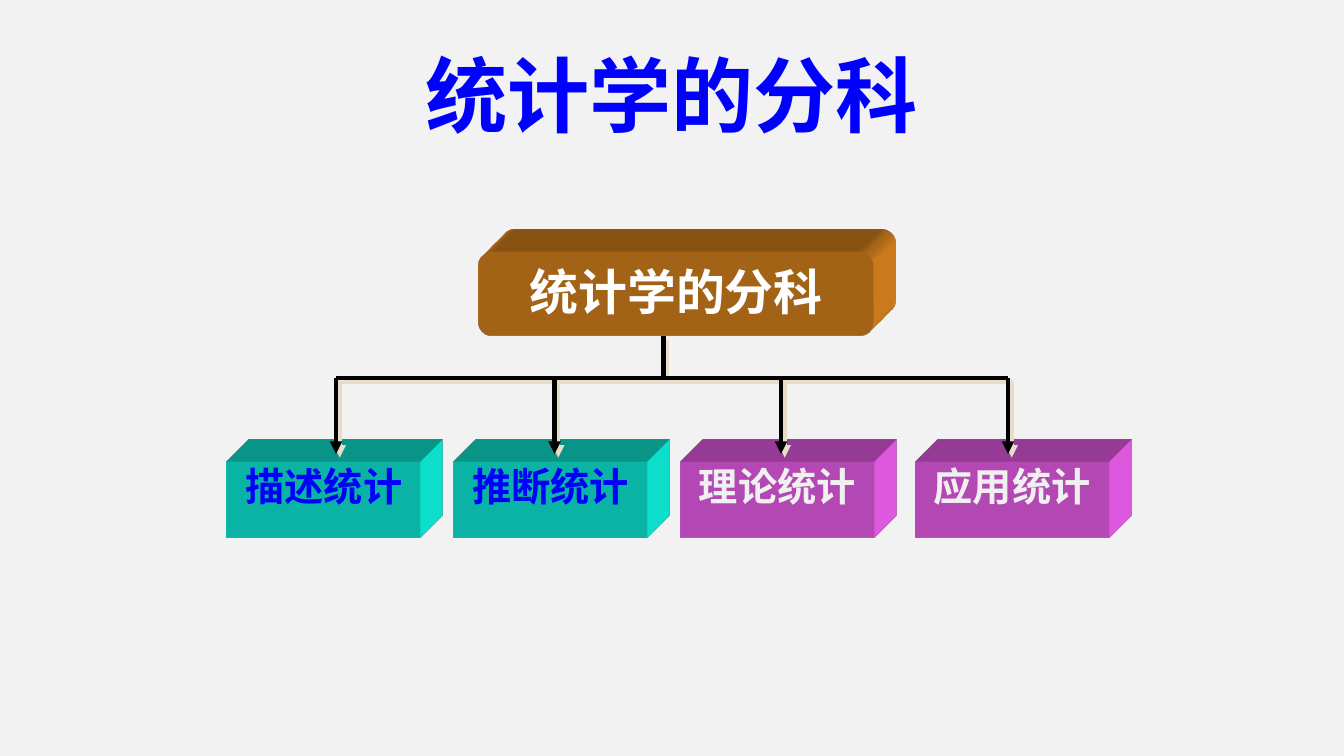
from lxml.etree import SubElement
from pptx import Presentation
from pptx.dml.color import RGBColor
from pptx.enum.shapes import MSO_CONNECTOR, MSO_SHAPE
from pptx.enum.text import MSO_ANCHOR, PP_ALIGN
from pptx.oxml import parse_xml
from pptx.oxml.ns import nsdecls, qn
from pptx.util import Cm, Pt

BACKGROUND = RGBColor(0xF2, 0xF2, 0xF2)
BLUE = RGBColor(0x00, 0x00, 0xFF)
BLACK = RGBColor(0x00, 0x00, 0x00)
WHITE = RGBColor(0xFF, 0xFF, 0xFF)
PALE = RGBColor(0xF0, 0xF0, 0xF0)
ORANGE = RGBColor(0xE8, 0x8D, 0x22)
TURQUOISE = RGBColor(0x0F, 0xFF, 0xE8)
PINK = RGBColor(0xFF, 0x66, 0xFF)
SHADOW = RGBColor(0xE7, 0xDE, 0xC9)
FONT = "Noto Sans CJK SC"

# Heights of the chart's levels, in centimetres
ROOT_BOTTOM, BUS, ARROW_TIP, LEAF_TOP = 6.35, 7.14, 8.58, 8.73
TRUNK = 12.54


class ChartSlide:
    """Holds the slide and draws its elements in one style."""

    def __init__(self, presentation):
        self.slide = presentation.slides.add_slide(presentation.slide_layouts[5])
        self.slide.background.fill.solid()
        self.slide.background.fill.fore_color.rgb = BACKGROUND

    def label(self, text_frame, text, size, color):
        text_frame.text = text
        text_frame.word_wrap = True
        paragraph = text_frame.paragraphs[0]
        paragraph.alignment = PP_ALIGN.CENTER
        for run in paragraph.runs:
            font = run.font
            font.size, font.bold, font.name = Pt(size), True, FONT
            font.color.rgb = color
            SubElement(font._element, qn("a:ea"), typeface=FONT)

    def title(self, text, left, top, width, height):
        shape = self.slide.shapes.title
        shape.left, shape.top = Cm(left), Cm(top)
        shape.width, shape.height = Cm(width), Cm(height)
        self.label(shape.text_frame, text, 44, BLUE)
        shape.text_frame.vertical_anchor = MSO_ANCHOR.MIDDLE

    def block(self, shapes, kind, text, box, fill, color, size, insets=(0, 0)):
        shape = shapes.add_shape(kind, *(Cm(length) for length in box))
        shape.shadow.inherit = False
        shape.fill.solid()
        shape.fill.fore_color.rgb = fill
        shape.line.fill.background()
        text_frame = shape.text_frame
        text_frame.margin_left = text_frame.margin_right = Cm(insets[0])
        text_frame.margin_top = text_frame.margin_bottom = Cm(insets[1])
        text_frame.vertical_anchor = MSO_ANCHOR.TOP
        self.label(text_frame, text, size, color)
        self.extrude(shape, fill)

    def extrude(self, shape, color):
        properties = shape._element.spPr
        properties.append(parse_xml(
            f'<a:scene3d {nsdecls("a")}>'
            '<a:camera prst="legacyObliqueTopRight"/>'
            '<a:lightRig rig="legacyFlat3" dir="b"/></a:scene3d>'))
        properties.append(parse_xml(
            f'<a:sp3d {nsdecls("a")} extrusionH="430200" prstMaterial="legacyMatte">'
            '<a:bevelT w="13500" h="13500" prst="angle"/>'
            '<a:bevelB w="13500" h="13500" prst="angle"/>'
            f'<a:extrusionClr><a:srgbClr val="{color}"/></a:extrusionClr></a:sp3d>'))

    def line(self, shapes, start, end, arrow=False):
        connector = shapes.add_connector(
            MSO_CONNECTOR.STRAIGHT, *(Cm(length) for length in start + end))
        connector.line.color.rgb = BLACK
        connector.line.width = Pt(2.25)
        properties = connector._element.spPr
        if arrow:
            SubElement(properties.find(qn("a:ln")), qn("a:tailEnd"), type="triangle")
        properties.append(parse_xml(
            f'<a:effectLst {nsdecls("a")}>'
            f'<a:outerShdw dist="{Pt(2.8)}" dir="2700000" algn="ctr" rotWithShape="0">'
            f'<a:srgbClr val="{SHADOW}"/></a:outerShdw></a:effectLst>'))

    def branch(self, leaves, fill, color, bus_start, bus_end, trunk=False):
        """Group a pair of leaves with the lines that lead to them."""
        shapes = self.slide.shapes.add_group_shape().shapes
        for text, left, _ in leaves:
            self.block(shapes, MSO_SHAPE.RECTANGLE, text,
                       (left, LEAF_TOP, 3.66, 1.43), fill, color, 21)
        if trunk:
            self.line(shapes, (TRUNK, ROOT_BOTTOM), (TRUNK, BUS))
        self.line(shapes, (bus_start, BUS), (bus_end, BUS))
        for _, _, arrow in leaves:
            self.line(shapes, (arrow, BUS), (arrow, ARROW_TIP), arrow=True)


def main():
    presentation = Presentation()
    presentation.slide_width, presentation.slide_height = Cm(25.4), Cm(14.29)
    chart = ChartSlide(presentation)
    chart.title("统计学的分科", 1.27, 0.58, 22.86, 2.39)

    # Left branch: text, left edge and arrow position of each leaf
    chart.branch([("描述统计", 4.29, 6.35), ("推断统计", 8.58, 10.48)],
                 TURQUOISE, BLUE, 6.35, TRUNK, trunk=True)

    # Root
    chart.block(chart.slide.shapes, MSO_SHAPE.ROUNDED_RECTANGLE, "统计学的分科",
                (9.05, 4.76, 7.46, 1.59), ORANGE, WHITE, 26.2, (0.18, 0.1))

    # Right branch
    chart.branch([("理论统计", 12.86, 14.76), ("应用统计", 17.3, 19.05)],
                 PINK, PALE, TRUNK, 19.05)

    presentation.save("out.pptx")


if __name__ == "__main__":
    main()
